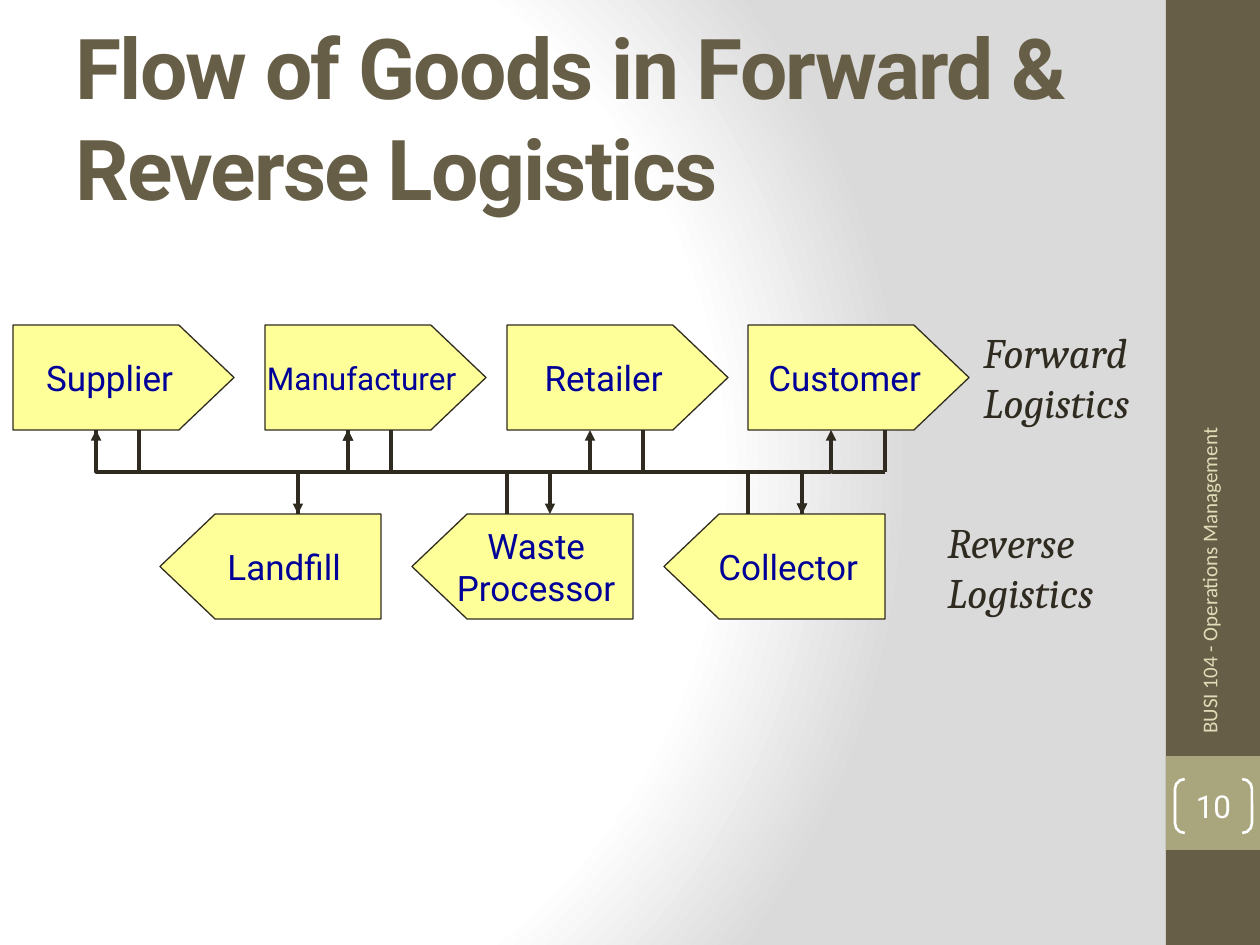
"""Build a slide on the flow of goods in forward and reverse logistics."""
from dataclasses import dataclass

from pptx import Presentation
from pptx.dml.color import RGBColor
from pptx.enum.shapes import MSO_CONNECTOR, MSO_SHAPE
from pptx.enum.text import MSO_ANCHOR, PP_ALIGN
from pptx.oxml import parse_xml
from pptx.oxml.ns import nsdecls, qn
from pptx.util import Pt

SCALE = 914400 / 126
STRAIGHT, ELBOW = MSO_CONNECTOR.STRAIGHT, MSO_CONNECTOR.ELBOW
RECTANGLE, PENTAGON = MSO_SHAPE.RECTANGLE, MSO_SHAPE.PENTAGON
BRACKETS = MSO_SHAPE.DOUBLE_BRACKET
TOP, MIDDLE = MSO_ANCHOR.TOP, MSO_ANCHOR.MIDDLE
LEFT, CENTER = PP_ALIGN.LEFT, PP_ALIGN.CENTER

STAGE_WIDTH, STAGE_HEIGHT = 221, 105
FORWARD_TOP, REVERSE_TOP = 325, 514
FORWARD_BOTTOM = FORWARD_TOP + STAGE_HEIGHT
BUS = (FORWARD_BOTTOM + REVERSE_TOP) // 2
FORWARD_PORT, REVERSE_PORT = 83, 138
FORWARD = {"Supplier": 13, "Manufacturer": 265, "Retailer": 507, "Customer": 748}
REVERSE = {"Landfill": 160, "Waste\nProcessor": 412, "Collector": 664}
FLOWS = [
    ("Supplier", "Landfill", "tailEnd"),
    ("Manufacturer", "Waste\nProcessor", "tailEnd"),
    ("Retailer", "Collector", "headEnd tailEnd"),
    ("Customer", "Collector", "headEnd tailEnd"),
    ("Landfill", "Manufacturer", "tailEnd"),
    ("Collector", "Manufacturer", "tailEnd"),
    ("Collector", "Supplier", "tailEnd"),
]


@dataclass(frozen=True)
class Theme:
    """Colours, fonts and type sizes of the slide."""
    paper: str = "FFFFFF"
    shade: str = "DADADA"
    brand: str = "675E47"
    accent: str = "A9A57C"
    pale: str = "DFDCB7"
    ink: str = "2F2B20"
    stage: str = "FFFF99"
    stage_text: str = "000099"
    sans: str = "Roboto"
    serif: str = "Cambria"
    footer: str = "Calibri"
    title_size: int = 48
    label_size: int = 24
    stage_size: int = 20
    small_size: int = 18
    footer_size: int = 12


THEME = Theme()


def px(*values):
    """Turn pixel lengths into EMU."""
    return [round(value * SCALE) for value in values]


def paint_background(slide):
    """Give the slide its circular gradient."""
    slide.background.fill.solid()
    properties = slide._element.find(".//" + qn("p:bgPr"))
    stops = "".join(
        f'<a:gs pos="{position}"><a:srgbClr val="{color}"/></a:gs>'
        for position, color in
        [(0, THEME.paper), (75000, THEME.paper), (100000, THEME.shade)])
    gradient = parse_xml(
        f'<a:gradFill rotWithShape="1" {nsdecls("a")}><a:gsLst>{stops}</a:gsLst>'
        '<a:path path="circle"><a:fillToRect l="20000" t="50000" r="100000" '
        'b="50000"/></a:path></a:gradFill>')
    properties.replace(properties.find(qn("a:solidFill")), gradient)


def write_text(shape, text, font, size, color, align=LEFT, anchor=TOP, wrap=True):
    """Fill a shape with text in one style and return its runs."""
    frame = shape.text_frame
    frame.text = text
    frame.word_wrap = wrap
    frame.vertical_anchor = anchor
    for paragraph in frame.paragraphs:
        paragraph.alignment = align
    runs = [run for paragraph in frame.paragraphs for run in paragraph.runs]
    for run in runs:
        run.font.name = font
        run.font.size = Pt(size)
        run.font.color.rgb = RGBColor.from_string(color)
    return runs


def add_block(slide, kind, box, fill=None, line=None, width=0.75):
    """Add a preset shape with a plain fill and outline."""
    shape = slide.shapes.add_shape(kind, *px(*box))
    shape.shadow.inherit = False
    if fill:
        shape.fill.solid()
        shape.fill.fore_color.rgb = RGBColor.from_string(fill)
    else:
        shape.fill.background()
    if line:
        shape.line.color.rgb = RGBColor.from_string(line)
        shape.line.width = Pt(width)
    else:
        shape.line.fill.background()
    return shape


def add_stage(slide, name, left, top, size, reverse=False):
    """Add one stage of the chain as a pointed block."""
    shape = add_block(slide, PENTAGON, (left, top, STAGE_WIDTH, STAGE_HEIGHT),
                      THEME.stage, THEME.ink)
    shape.adjustments[0] = 0.525
    if reverse:
        shape._element.spPr.find(qn("a:xfrm")).set("flipH", "1")
    write_text(shape, name, THEME.sans, size, THEME.stage_text, CENTER, MIDDLE, False)


def add_line(slide, kind, start, end, arrows=""):
    """Add a connector with arrowheads at the named ends."""
    connector = slide.shapes.add_connector(kind, *px(*start, *end))
    connector.line.color.rgb = RGBColor.from_string(THEME.ink)
    connector.line.width = Pt(2)
    for tag in arrows.split():
        connector.line._get_or_add_ln().append(
            parse_xml(f'<a:{tag} type="triangle" {nsdecls("a")}/>'))
    connector._element.spPr.append(parse_xml(f'<a:effectLst {nsdecls("a")}/>'))
    return connector


def add_flow(slide, start, end, arrows):
    """Add an elbow that leaves and arrives vertically."""
    run, rise = end[0] - start[0], end[1] - start[1]
    left = (start[0] + end[0] - abs(rise)) / 2
    top = (start[1] + end[1] - abs(run)) / 2
    connector = add_line(slide, ELBOW, (left, top),
                         (left + abs(rise), top + abs(run)), arrows)
    transform = connector._element.spPr.find(qn("a:xfrm"))
    transform.set("rot", str((90 if rise > 0 else 270) * 60000))
    if run * rise > 0:
        transform.set("flipV", "1")


def add_chain(slide):
    """Add both rows of stages and the flows between them."""
    for name, left in FORWARD.items():
        size = THEME.small_size if name == "Manufacturer" else THEME.stage_size
        add_stage(slide, name, left, FORWARD_TOP, size)
    for name, left in REVERSE.items():
        add_stage(slide, name, left, REVERSE_TOP, THEME.stage_size, reverse=True)
    ports = {name: (left + FORWARD_PORT, FORWARD_BOTTOM) for name, left in FORWARD.items()}
    ports.update({name: (left + REVERSE_PORT, REVERSE_TOP) for name, left in REVERSE.items()})
    for source, target, arrows in FLOWS:
        add_flow(slide, ports[source], ports[target], arrows)
    for x in (139, 391, 643, 885):
        add_line(slide, STRAIGHT, (x, FORWARD_BOTTOM), (x, BUS))
    for x in (FORWARD["Retailer"], FORWARD["Customer"]):
        add_line(slide, STRAIGHT, (x, BUS), (x, REVERSE_TOP))
    add_line(slide, STRAIGHT, (832, BUS), (885, BUS))


def add_title(slide):
    """Add the slide title."""
    box = slide.shapes.add_textbox(*px(63, 38, 1049, 157))
    for run in write_text(box, "Flow of Goods in Forward & Reverse Logistics",
                          THEME.sans, THEME.title_size, THEME.brand, anchor=MIDDLE):
        run.font.bold = True
        run._r.get_or_add_rPr().set("spc", "-100")


def add_row_label(slide, text, left, top):
    """Add the italic name of a row."""
    box = slide.shapes.add_textbox(*px(left, top, 189, 115))
    for run in write_text(box, text, THEME.serif, THEME.label_size, THEME.ink):
        run.font.italic = True


def add_sidebar(slide):
    """Add the side band with course name and page number."""
    add_block(slide, RECTANGLE, (1166, 0, 94, 945), THEME.brand)
    add_block(slide, RECTANGLE, (1166, 756, 94, 94), THEME.accent)
    course = slide.shapes.add_textbox(*px(978, 490, 462, 50))
    course.rotation = 270
    write_text(course, "BUSI 104 - Operations Management", THEME.footer,
               THEME.footer_size, THEME.pale, anchor=MIDDLE)
    number = add_block(slide, BRACKETS, (1175, 779, 77, 54), line=THEME.paper, width=1.5)
    number.adjustments[0] = 0.18
    frame = number.text_frame
    frame.margin_left = frame.margin_right = frame.margin_top = frame.margin_bottom = 0
    write_text(number, "10", THEME.sans, THEME.small_size, THEME.paper, CENTER, MIDDLE)


def main():
    """Build and save the slide."""
    presentation = Presentation()
    presentation.slide_width, presentation.slide_height = px(1260, 945)
    slide = presentation.slides.add_slide(presentation.slide_layouts[6])
    paint_background(slide)
    add_sidebar(slide)
    add_title(slide)
    add_chain(slide)
    add_row_label(slide, "Forward Logistics", 971, 320)
    add_row_label(slide, "Reverse Logistics", 935, 510)
    presentation.save("out.pptx")


if __name__ == "__main__":
    main()
